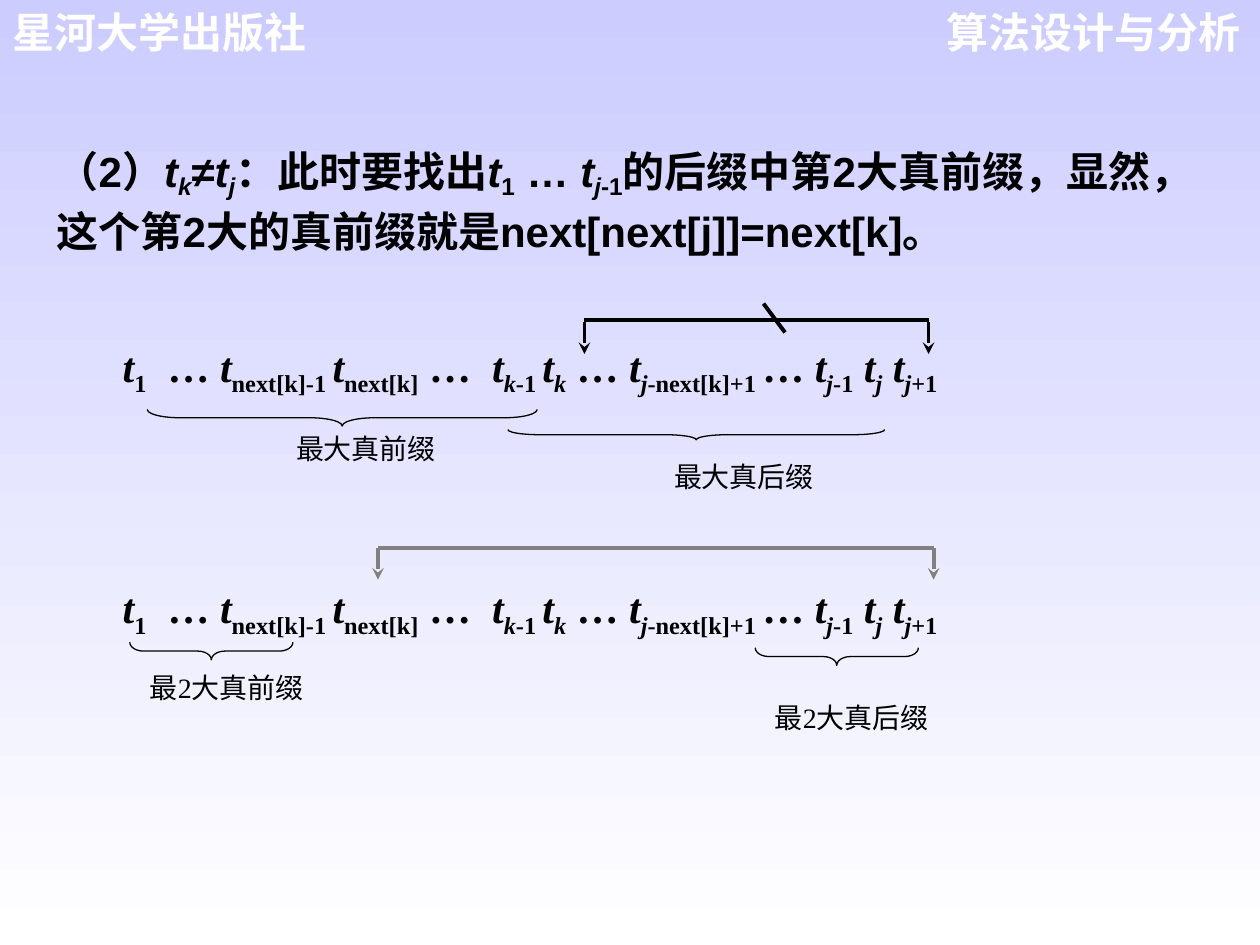
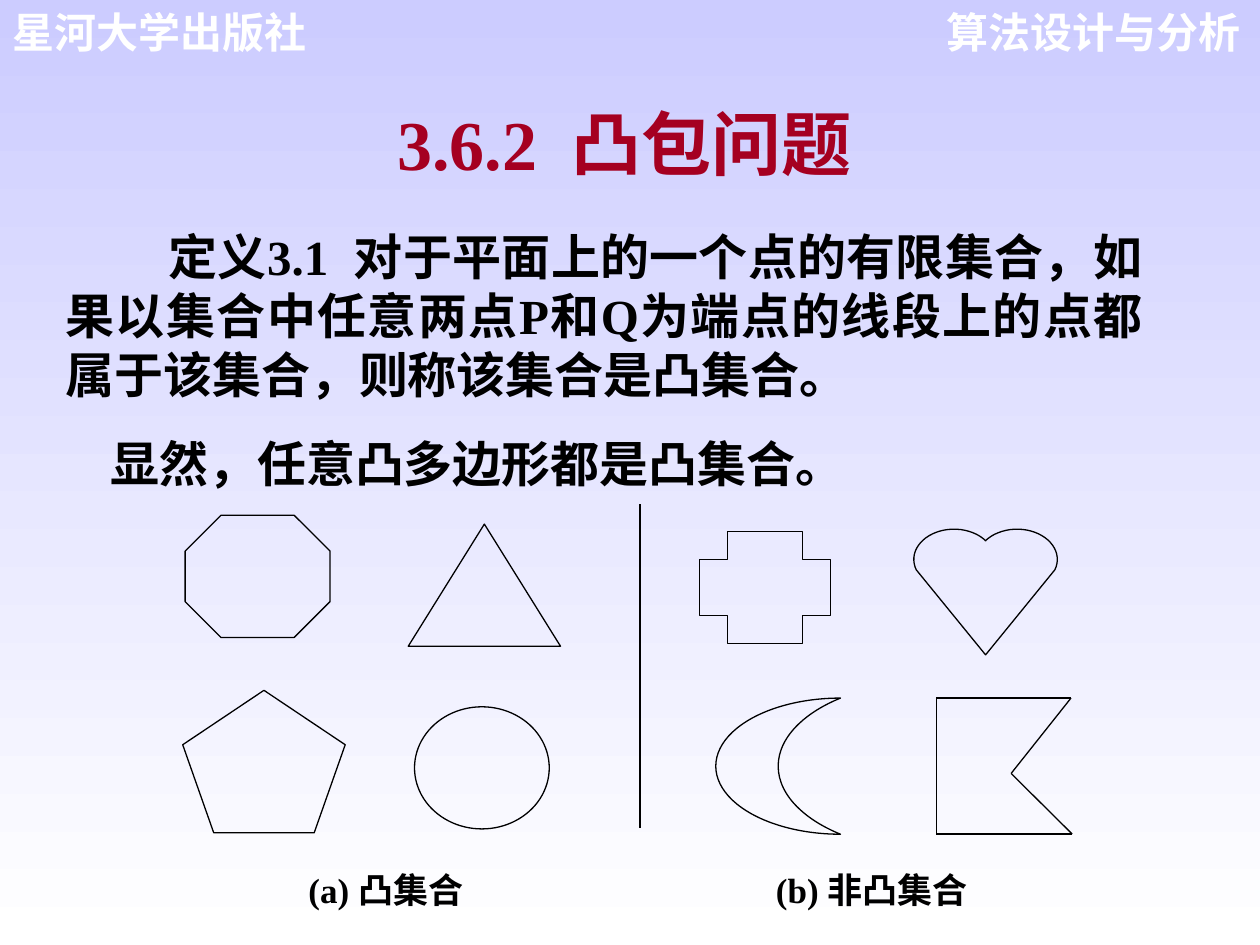
import math
from itertools import pairwise

from lxml import etree
from pptx import Presentation
from pptx.dml.color import RGBColor
from pptx.enum import shapes as kinds, text as modes
from pptx.oxml.ns import qn
from pptx.util import Pt

BLACK, WHITE, GREY, CRIMSON = "000000", "FFFFFF", "808080", "A50021"
SKY = "CCCCFF"
SERIF, SANS, CJK = "Times New Roman", "Arial", "Noto Sans CJK SC"
LEFT, RIGHT, CENTER, JUSTIFY = (
    getattr(modes.PP_ALIGN, name) for name in ("LEFT", "RIGHT", "CENTER", "JUSTIFY"))
SHAPE = kinds.MSO_SHAPE


def color(value):
    return RGBColor.from_string(value)


def term(letter="", rest=""):
    """An italic t with a subscript: an italic letter, then upright text."""
    spans = [("t", "i"), (letter, "is"), (rest, "s")]
    return [span for span in spans if span[0]]


class Slides:
    """Holds the deck style and the slide being filled."""

    def __init__(self):
        self.deck = Presentation()
        self.deck.slide_width, self.deck.slide_height = Pt(720), Pt(540)
        fill = self.deck.slide_master.background.fill
        fill.gradient()
        fill.gradient_angle = 270
        for stop, shade in zip(fill.gradient_stops, (SKY, WHITE)):
            stop.color.rgb = color(shade)
        self.page = None

    def new_page(self):
        self.page = self.deck.slides.add_slide(self.deck.slide_layouts[1])
        header = dict(font=SANS, size=24, shade=WHITE, bold=True)
        self.text(521, 0, 195, 36, ["算法设计与分析"], align=RIGHT, **header)
        self.text(0, 0, 195, 36, ["星河大学出版社"], **header)

    def text(self, left, top, width, height, paragraphs, box=None, inset=(7.2, 3.6), **style):
        """Fill a text box, or the given placeholder, paragraph by paragraph."""
        if box is None:
            box = self.page.shapes.add_textbox(0, 0, 0, 0)
        box.left, box.top, box.width, box.height = map(Pt, (left, top, width, height))
        frame = box.text_frame
        frame.word_wrap = True
        frame.auto_size = modes.MSO_AUTO_SIZE.NONE
        frame.vertical_anchor = modes.MSO_ANCHOR.TOP
        frame.margin_left = frame.margin_right = Pt(inset[0])
        frame.margin_top = frame.margin_bottom = Pt(inset[1])
        for index, spans in enumerate(paragraphs):
            para = frame.add_paragraph() if index else frame.paragraphs[0]
            self.paragraph(para, spans, **style)
        return frame

    def paragraph(self, para, spans, font=SERIF, size=16, shade=BLACK, bold=False,
                  align=LEFT, before=0, spacing=1.0, indent=0, drop=-25):
        para.alignment = align
        para.space_before, para.line_spacing = Pt(before), spacing
        properties = para._p.get_or_add_pPr()
        properties.set("marL", "0")
        properties.set("indent", str(Pt(indent)))
        etree.SubElement(properties, qn("a:buNone"))
        for wording, marks in [(spans, "")] if isinstance(spans, str) else spans:
            span = para.add_run()
            span.text = wording
            span.font.name, span.font.size = font, Pt(size)
            span.font.bold, span.font.italic = bold, "i" in marks
            span.font.color.rgb = color(shade)
            if "s" in marks:
                span._r.get_or_add_rPr().set("baseline", str(drop * 1000))

    def outline(self, shape):
        shape.shadow.inherit = False
        shape.fill.background()
        shape.line.color.rgb = color(BLACK)
        shape.line.width = Pt(0.75)

    def shape(self, kind, left, top, width, height, adjust=None, turn=0):
        shape = self.page.shapes.add_shape(kind, *map(Pt, (left, top, width, height)))
        if adjust is not None:
            shape.adjustments[0] = adjust
        shape.rotation = turn
        self.outline(shape)

    def polygon(self, points):
        (x, y), *others = [(Pt(x), Pt(y)) for x, y in points]
        builder = self.page.shapes.build_freeform(x, y)
        builder.add_line_segments(others, close=True)
        self.outline(builder.convert_to_shape())

    def brace(self, left, top, length, depth):
        """A brace lying on its side, its point downwards."""
        middle = left + length / 2, top + depth / 2
        self.shape(SHAPE.LEFT_BRACE, middle[0] - depth / 2, middle[1] - length / 2,
                   depth, length, adjust=length / 12 / depth, turn=270)

    def line(self, start, end, shade=BLACK, width=0.75, arrow=False):
        line = self.page.shapes.add_connector(
            kinds.MSO_CONNECTOR.STRAIGHT, *map(Pt, (*start, *end)))
        line.line.color.rgb = color(shade)
        line.line.width = Pt(width)
        if arrow:
            etree.SubElement(line.line._get_or_add_ln(), qn("a:tailEnd"), type="stealth")
        etree.SubElement(line._element.spPr, qn("a:effectLst"))

    def bracket(self, left, right, top, shade, gap=0):
        """A bar with an arrow down at each end."""
        self.line((left, top), (right, top), shade, 2.25)
        for x in (left, right):
            self.line((x, top + gap), (x, top + gap + 18), shade, 2.25, arrow=True)


def prefix_page(slides):
    slides.new_page()
    title, body = slides.page.placeholders
    title._element.getparent().remove(title._element)

    # Statement
    statement = [
        ("（2）", ""), *term("k"), ("≠", ""), *term("j"), ("：此时要找出", ""),
        *term("", "1"), (" … ", ""), *term("j", "-1"),
        ("的后缀中第2大真前缀，显然，这个第2大的真前缀就是next[next[j]]=next[k]。", "")]
    slides.text(25.2, 76.3, 669, 73.5, [statement], box=body, font=SANS, size=24,
                bold=True, before=15, spacing=1.1, drop=-20)

    # The same sequence twice
    sequence = [
        *term("", "1"), ("  … ", ""), *term("", "next[k]-1 "), *term("", "next[k]"),
        (" …  ", ""), *term("k", "-1 "), *term("k"), (" … ", ""),
        *term("j", "-next[k]+1 "), ("… ", ""), *term("j", "-1"), (" ", ""),
        *term("j"), (" ", ""), *term("j", "+1")]
    rows = slides.text(63, 191, 610, 214, [sequence, sequence], size=24, bold=True,
                       align=JUSTIFY)
    rows.paragraphs[1].space_before = Pt(105)

    # Comparison brackets, the first one crossed out
    slides.bracket(334, 530.6, 182.9, BLACK, gap=1.4)
    slides.line((436.3, 173.5), (448.6, 190), width=2.25)
    slides.bracket(216, 533.5, 313.2, GREY)

    # Braces and their labels
    for brace, label, wording in (
            ((84.2, 234, 222.8, 9.4), (169.2, 250.6), "最大真前缀"),
            ((290.2, 245.5, 215.3, 5.8), (385.2, 266.4), "最大真后缀"),
            ((74.2, 367, 93.2, 10.1), (85.7, 387), "最2大真前缀"),
            ((431.6, 370.1, 93.2, 10.1), (442.8, 404), "最2大真后缀")):
        slides.brace(*brace)
        slides.text(*label, 104, 16.5, [wording], inset=(0, 0), align=JUSTIFY, spacing=0.8)


def heart(middle, top):
    """Two elliptic lobes meeting in a notch, over a point."""
    wide, high = 23, 17.3
    lobe = [(wide * math.cos(angle) - 18, top + high + high * math.sin(angle))
            for angle in map(math.radians, range(160, 323, 6))]
    right = [(middle - x, y) for x, y in reversed(lobe)]
    return [(middle, top + 71.8), *((middle + x, y) for x, y in lobe), *right]


def convex_page(slides):
    slides.new_page()
    title, body = slides.page.placeholders

    # Title and definition
    slides.text(149.8, 54, 414, 55.4, ["3.6.2  凸包问题"], box=title, size=40,
                shade=CRIMSON, bold=True, align=CENTER)
    style = dict(size=28, bold=True, before=17.5)
    frame = slides.text(
        30.2, 126, 630, 159,
        ["定义3.1  对于平面上的一个点的有限集合，如果以集合中任意两点P和Q为端点的线段上的"
         "点都属于该集合，则称该集合是凸集合。"],
        box=body, align=JUSTIFY, indent=58.9, **style)
    slides.paragraph(frame.add_paragraph(), "显然，任意凸多边形都是凸集合。",
                     font=CJK, indent=25.7, **style)

    # Convex sets
    slides.shape(SHAPE.OCTAGON, 105.8, 294.5, 82.8, 69.8, adjust=0.293)
    slides.shape(SHAPE.ISOSCELES_TRIANGLE, 233.3, 299.5, 87, 69.8)
    slides.shape(SHAPE.REGULAR_PENTAGON, 104.4, 394.5, 92.9, 81.4)
    slides.shape(SHAPE.OVAL, 236.9, 403.9, 77, 69.8)

    slides.line((365.8, 288), (365.8, 473))

    # Sets that are not convex
    slides.shape(SHAPE.CROSS, 399.6, 303.8, 74.9, 64.1, adjust=0.25)
    slides.polygon(heart(563.2, 302.4))
    slides.shape(SHAPE.MOON, 409, 398.9, 71.3, 77.8)
    notched = [(535, 398.9), (612, 398.9), (577.8, 442), (612.7, 476.6), (535, 476.6)]
    for start, end in pairwise([*notched, notched[0]]):
        slides.line(start, end)

    # Captions
    for left, wording in ((169.2, "(a) 凸集合"), (436.3, "(b) 非凸集合")):
        slides.text(left, 496, 160, 29.5, [wording], inset=(7.2, 0), size=20, bold=True,
                    align=JUSTIFY)


def main():
    slides = Slides()
    prefix_page(slides)
    convex_page(slides)
    slides.deck.save("out.pptx")


if __name__ == "__main__":
    main()
